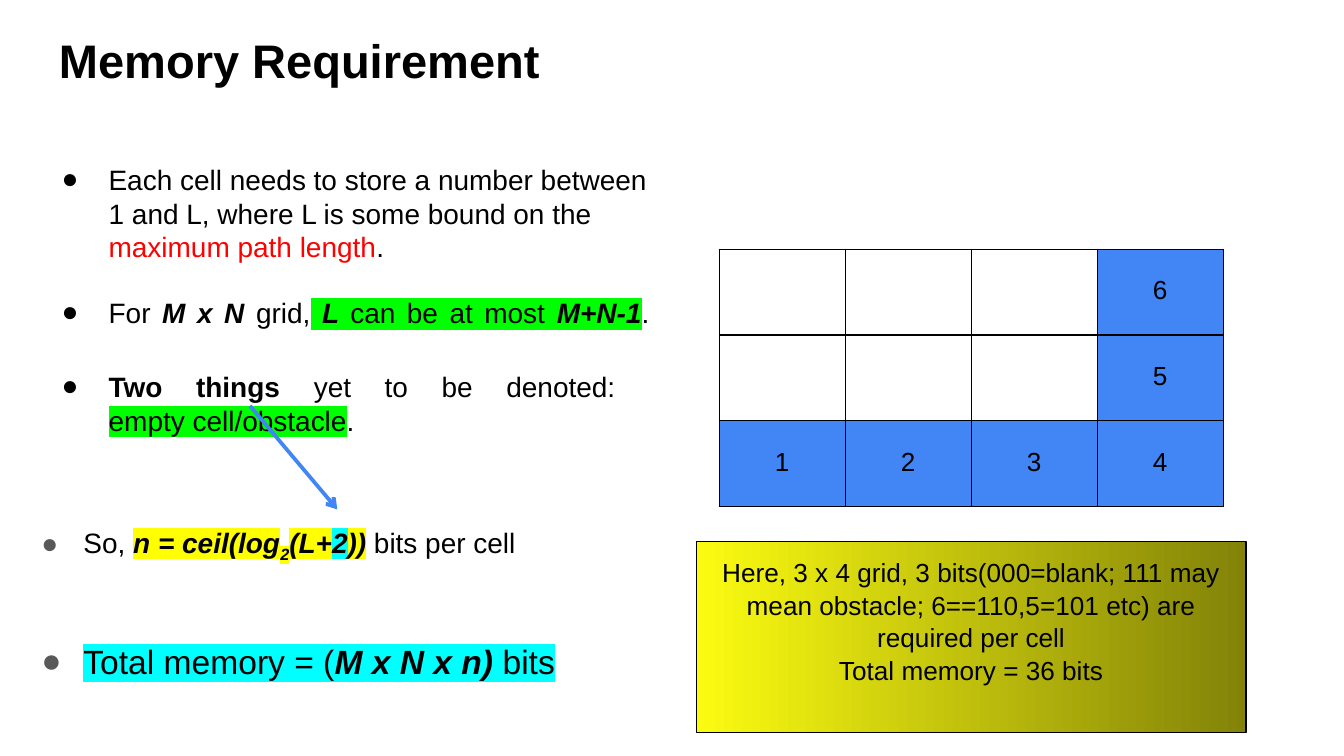
from lxml import etree
from pptx import Presentation
from pptx import util as u
from pptx.dml import color
from pptx.enum import shapes, text
from pptx.oxml import ns

Pt = u.Pt
COLORS = {
    "black": "000000", "red": "FF0000", "green": "00FF00", "yellow": "FFFF00",
    "cyan": "00FFFF", "gray": "595959", "blue": "4285F4",
    "lemon": "FBFB11", "olive": "838309",
}
LEFT, CENTER, JUSTIFY = (
    text.PP_ALIGN.LEFT, text.PP_ALIGN.CENTER, text.PP_ALIGN.JUSTIFY)
STRONG = {"bold": True, "italic": True}


def rgb(name):
    return color.RGBColor.from_string(COLORS[name])


def add_child(parent, tag, **attributes):
    return etree.SubElement(parent, ns.qn(tag), attributes)


def add_color(parent, name):
    add_child(parent, "a:srgbClr", val=COLORS[name])


def write_text(paragraph, words, size=15, ink="black", bold=False, italic=False,
               mark=None, baseline=None):
    for number, line in enumerate(words.split("\n")):
        if number:
            paragraph.add_line_break()
        if not line:
            continue
        run = paragraph.add_run()
        run.text = line
        font = run.font
        font.size, font.bold, font.italic = Pt(size), bold, italic
        font.color.rgb = rgb(ink)
        if mark:
            add_color(add_child(font._element, "a:highlight"), mark)
        font.name = "Arial"
        if baseline:
            font._element.set("baseline", str(baseline))


def set_frame(frame, anchor=text.MSO_ANCHOR.TOP):
    frame.word_wrap = True
    frame.vertical_anchor = anchor
    frame.margin_left = frame.margin_right = Pt(7.2)
    frame.margin_top = frame.margin_bottom = Pt(7.2)
    return frame


def add_textbox(slide, left, top, width, height, **options):
    box = slide.shapes.add_textbox(Pt(left), Pt(top), Pt(width), Pt(height))
    return set_frame(box.text_frame, **options)


def write_bullet(paragraph, runs, align=JUSTIFY, margin=36, hang=25.2,
                 dot="black", before=0, after=0):
    properties = paragraph._p.get_or_add_pPr()
    properties.set("marL", str(Pt(margin)))
    properties.set("indent", str(-Pt(hang)))
    add_color(add_child(properties, "a:buClr"), dot)
    add_child(properties, "a:buFont", typeface="Arial")
    add_child(properties, "a:buChar", char="●")
    paragraph.alignment = align
    paragraph.space_before, paragraph.space_after = Pt(before), Pt(after)
    for words, style in runs:
        write_text(paragraph, words, **style)


def add_bullets(slide):
    green = {"mark": "green"}
    yellow = {"mark": "yellow", **STRONG}
    total = {"mark": "cyan", "size": 18}
    conclusion = {"margin": 22.5, "hang": 22.5, "dot": "gray"}
    bullets = [
        ([("Each cell needs to store a number between 1 and L, "
           "where L is some bound on the ", {}),
          ("maximum path length", {"ink": "red"}), (".", {})],
         {"align": LEFT, "after": 17.2}),
        ([("For ", {}), ("M x N", STRONG), (" grid,", {}), (" ", green),
          ("L ", {**green, **STRONG}), ("can be at most ", green),
          ("M+N‐1", {**green, **STRONG}), (".\n", {})], {}),
        ([("Two things", {"bold": True}), (" yet to be denoted: \n", {}),
          ("empty cell/obstacle", green), (".", {})], {}),
        ([("So, ", {}), ("n = ceil(log", yellow),
          ("2", {**yellow, "baseline": -25000}), ("(L+", yellow),
          ("2", {"mark": "cyan", **STRONG}), ("))", yellow),
          (" bits per cell", {})], {"before": 47.5, **conclusion}),
        ([("Total memory = (", total), ("M x N x n) ", {**total, **STRONG}),
          ("bits", total)], {"before": 41.5, **conclusion}),
    ]
    frame = add_textbox(slide, 15.1, 79.9, 339.8, 303.8)
    for number, (runs, layout) in enumerate(bullets):
        paragraph = frame.add_paragraph() if number else frame.paragraphs[0]
        write_bullet(paragraph, runs, **layout)


def add_borders(cell):
    properties = cell._tc.get_or_add_tcPr()
    for position, side in enumerate(("a:lnL", "a:lnR", "a:lnT", "a:lnB")):
        border = add_child(properties, side, w=str(Pt(0.75)))
        add_color(add_child(border, "a:solidFill"), "black")
        properties.insert(position, border)


def add_grid(slide, values, left, top, column_width, row_height):
    rows, columns = len(values), len(values[0])
    grid = slide.shapes.add_table(
        rows, columns, Pt(left), Pt(top),
        Pt(column_width * columns), Pt(row_height * rows)).table
    grid.first_row = grid.horz_banding = False
    for column in grid.columns:
        column.width = Pt(column_width)
    for row_number, row in enumerate(values):
        for column_number, step in enumerate(row):
            cell = grid.cell(row_number, column_number)
            if step:
                cell.fill.solid()
                cell.fill.fore_color.rgb = rgb("blue")
                cell.margin_top = Pt(14.4)
                cell.margin_left = cell.margin_right = cell.margin_bottom = Pt(7.2)
                paragraph = cell.text_frame.paragraphs[0]
                paragraph.alignment = CENTER
                write_text(paragraph, step, size=14)
            else:
                cell.fill.background()
            add_borders(cell)


def add_note(slide, words, left, top, width, height):
    note = slide.shapes.add_shape(
        shapes.MSO_SHAPE.RECTANGLE, Pt(left), Pt(top), Pt(width), Pt(height))
    note.shadow.inherit = False
    note.fill.gradient()
    note.fill.gradient_angle = 0
    for stop, position, name in zip(note.fill.gradient_stops, (0, 1), ("lemon", "olive")):
        stop.position = position
        stop.color.rgb = rgb(name)
    note.line.color.rgb = rgb("black")
    note.line.width = Pt(0.75)
    paragraph = set_frame(note.text_frame).paragraphs[0]
    paragraph.alignment = CENTER
    paragraph.line_spacing = 1.04
    write_text(paragraph, words, size=14)


def add_arrow(slide, start, end):
    arrow = slide.shapes.add_connector(
        shapes.MSO_CONNECTOR.STRAIGHT, *map(Pt, (*start, *end)))
    arrow.line.color.rgb = rgb("blue")
    arrow.line.width = Pt(2)
    add_child(arrow.line._get_or_add_ln(), "a:tailEnd", type="arrow")
    add_child(arrow._element.spPr, "a:effectLst")


def main():
    deck = Presentation()
    deck.slide_width, deck.slide_height = Pt(720), Pt(405)
    slide = deck.slides.add_slide(deck.slide_layouts[6])

    title = add_textbox(slide, 24.5, 9.4, 671, 45.4, anchor=text.MSO_ANCHOR.MIDDLE)
    write_text(title.paragraphs[0], "Memory Requirement", size=25.2, bold=True)
    add_bullets(slide)
    path_steps = [["", "", "", "6"], ["", "", "", "5"], ["1", "2", "3", "4"]]
    add_grid(slide, path_steps, left=385.3, top=133.5, column_width=67.5, row_height=46)
    add_note(slide, "Here, 3 x 4 grid, 3 bits(000=blank; 111 may mean obstacle; "
             "6==110,5=101 etc) are required per cell\nTotal memory = 36 bits",
             left=373, top=290.2, width=294.5, height=102.2)
    add_arrow(slide, (133.9, 217.4), (180.7, 272.9))
    deck.save("out.pptx")


if __name__ == "__main__":
    main()
